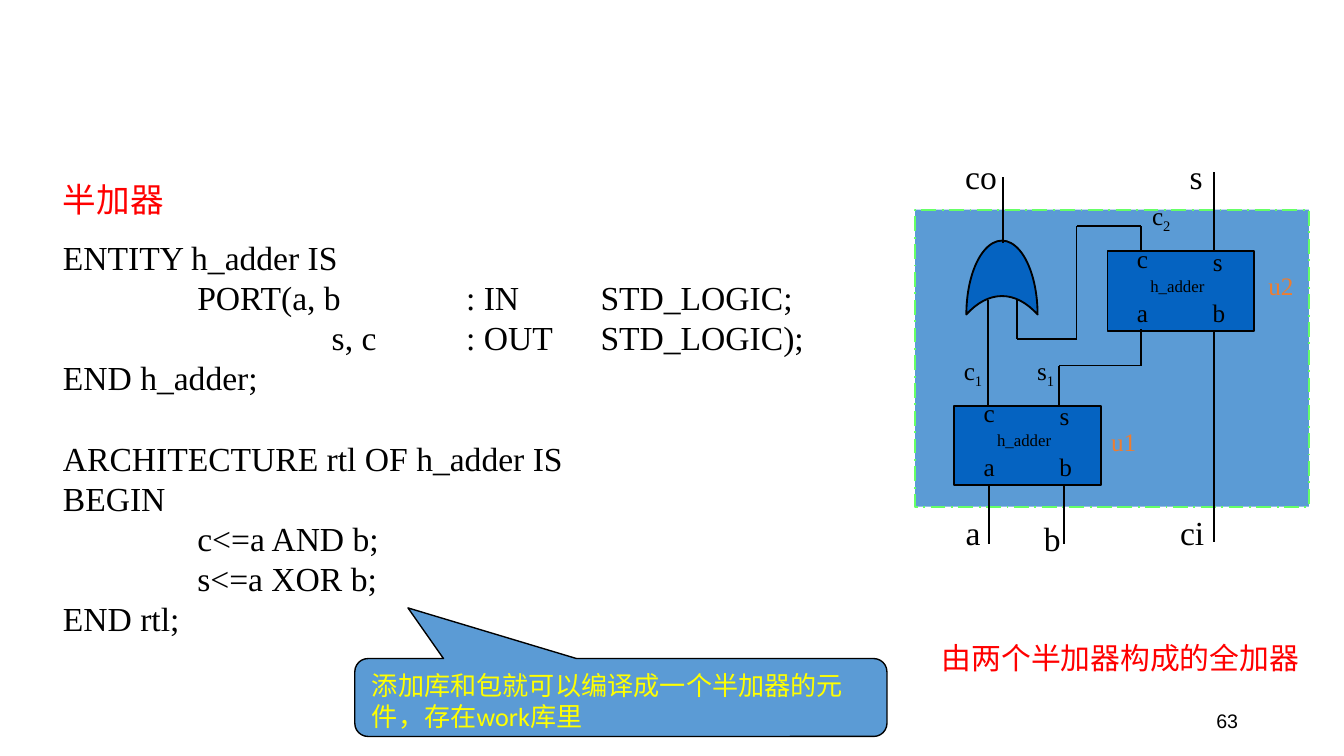
from lxml.etree import SubElement
from pptx import Presentation
from pptx.dml.color import RGBColor
from pptx.enum.dml import MSO_LINE
from pptx.enum.shapes import MSO_CONNECTOR, MSO_SHAPE as Shape
from pptx.enum.text import MSO_ANCHOR as Anchor, PP_ALIGN as Align
from pptx.oxml.ns import qn
from pptx.util import Pt

PX = 9144  # 100 px to the inch
SLIDE_WIDTH = 1000 * PX
SLIDE_HEIGHT = SLIDE_WIDTH * 9 // 16
BLACK = RGBColor(0x00, 0x00, 0x00)
RED = RGBColor(0xFF, 0x00, 0x00)
YELLOW = RGBColor(0xFF, 0xFF, 0x00)
ORANGE = RGBColor(0xED, 0x7D, 0x31)
LIGHT_BLUE = RGBColor(0x5B, 0x9B, 0xD5)
DEEP_BLUE = RGBColor(0x05, 0x63, 0xC1)
GREEN = RGBColor(0x66, 0xFF, 0x66)
SERIF, CJK = "Times New Roman", "Noto Sans CJK SC"

CODE = [
    "ENTITY h_adder IS",
    "\tPORT(a, b\t: IN\tSTD_LOGIC;",
    "\t\ts, c \t: OUT\tSTD_LOGIC);",
    "END h_adder;",
    "ARCHITECTURE rtl OF h_adder IS",
    "BEGIN",
    "\tc<=a AND b;",
    "\ts<=a XOR b;",
    "END rtl;",
]
LINE_PITCH = 21.55
SPACE_BEFORE = {CODE[0]: 9.5, CODE[4]: LINE_PITCH}

# Top left corners of each half adder and of its name
UNITS = {"u1": (710, 302, 810, 312), "u2": (824, 187, 927, 196)}
# Pins relative to the corner of their half adder
PINS = {"a": (4, 34), "b": (61, 34), "c": (4, -6), "s": (60, -4)}

WIRES = [
    [(736, 361), (736, 405)],
    [(792, 361), (792, 405)],
    [(735, 302), (735, 223)],
    [(788, 302), (788, 272), (849, 272), (849, 245)],
    [(903, 247), (903, 403)],
    [(903, 187), (903, 128)],
    [(849, 187), (849, 168), (801, 168), (801, 252), (757, 252), (757, 223)],
    [(746, 181), (746, 132)],
]
PORTS = [("a", 700, 381), ("ci", 863, 381), ("b", 759, 385),
         ("s", 866, 116), ("co", 706, 116)]
SIGNALS = [("c", "1", 700, 264), ("c", "2", 840, 149), ("s", "1", 754, 264)]


def scaled(*lengths):
    return [length * PX for length in lengths]


def set_values(target, values):
    for name, value in values.items():
        setattr(target, name, value)


def add_run(paragraph, text, size, font=SERIF, color=BLACK):
    run = paragraph.add_run()
    run.text = text
    run.font.color.rgb = color
    set_values(run.font, {"size": Pt(size), "name": font})
    properties = run.font._element
    SubElement(properties, qn("a:ea")).set("typeface", CJK)
    return properties


def add_text(shapes, box, text, size, font=SERIF, color=BLACK,
             align=Align.CENTER, insets=(0, 0), **frame_format):
    frame = shapes.add_textbox(*scaled(*box)).text_frame
    across, down = scaled(*insets)
    set_values(frame, {"margin_left": across, "margin_right": across,
                       "margin_top": down, "margin_bottom": down,
                       "word_wrap": True, **frame_format})
    paragraph = frame.paragraphs[0]
    paragraph.alignment = align
    add_run(paragraph, text, size, font, color)
    return frame


def add_box(shapes, kind, box, fill, line=BLACK, width=1.0, adjustments=()):
    shape = shapes.add_shape(kind, *scaled(*box))
    shape.shadow.inherit = False
    shape.fill.solid()
    shape.fill.fore_color.rgb = fill
    shape.line.color.rgb = line
    shape.line.width = Pt(width)
    for index, value in enumerate(adjustments):
        shape.adjustments[index] = value
    return shape


def add_wire(shapes, points):
    for start, end in zip(points, points[1:]):
        wire = shapes.add_connector(MSO_CONNECTOR.STRAIGHT, *scaled(*start, *end))
        wire.line.color.rgb = BLACK
        wire.line.width = Pt(1)
        SubElement(wire._element.spPr, qn("a:effectLst"))


def add_half_adder(shapes, name, left, top, name_left, name_top):
    add_box(shapes, Shape.RECTANGLE, (left, top, 109, 59), DEEP_BLUE)
    for pin, (x, y) in PINS.items():
        add_text(shapes, (left + x, top + y, 44, 29), pin, 13.5)
    add_text(shapes, (left + 5, top + 18, 94, 19), "h_adder", 9)
    add_text(shapes, (name_left, name_top, 52, 41), name, 13.5,
             color=ORANGE, insets=(10, 5))


def add_circuit(slide):
    shapes = slide.shapes.add_group_shape().shapes
    board = add_box(shapes, Shape.RECTANGLE, (681, 156, 293, 221), LIGHT_BLUE, GREEN)
    board.line.dash_style = MSO_LINE.LONG_DASH_DOT
    for name, corners in UNITS.items():
        add_half_adder(shapes, name, *corners)
    or_gate = add_box(shapes, Shape.MOON, (718, 180, 55, 53), DEEP_BLUE,
                      adjustments=[0.75])
    or_gate.rotation = 90
    for points in WIRES:
        add_wire(shapes, points)
    for text, left, top in PORTS:
        add_text(shapes, (left, top, 48, 38), text, 18)
    for text, index, left, top in SIGNALS:
        frame = add_text(shapes, (left, top, 48, 29), text, 13.5)
        add_run(frame.paragraphs[0], index, 13.5).set("baseline", "-25000")


def add_code(slide):
    frame = add_text(slide.shapes, (37, 128, 670, 356), "半加器", 18, CJK, RED,
                     Align.LEFT, (10, 5))
    frame.paragraphs[0].line_spacing = Pt(LINE_PITCH)
    for line in CODE:
        paragraph = frame.add_paragraph()
        tabs = SubElement(paragraph._p.get_or_add_pPr(), qn("a:tabLst"))
        for inch in range(1, 5):
            tab = SubElement(tabs, qn("a:tab"))
            tab.set("pos", str(inch * 100 * PX))
            tab.set("algn", "l")
        set_values(paragraph, {"line_spacing": Pt(LINE_PITCH),
                               "space_before": Pt(SPACE_BEFORE.get(line, 0))})
        add_run(paragraph, line, 18)


def add_callout(slide):
    callout = add_box(slide.shapes, Shape.ROUNDED_RECTANGULAR_CALLOUT,
                      (264, 490, 396, 58), LIGHT_BLUE, width=0.75,
                      adjustments=[-0.4, -1.15, 0.17])
    frame = callout.text_frame
    set_values(frame, {"word_wrap": True, "vertical_anchor": Anchor.TOP,
                       "margin_right": 18 * PX})
    frame.paragraphs[0].alignment = Align.LEFT
    add_run(frame.paragraphs[0], "添加库和包就可以编译成一个半加器的元件，存在work库里",
            14, "Calibri", YELLOW)


def main():
    presentation = Presentation()
    set_values(presentation, {"slide_width": SLIDE_WIDTH,
                              "slide_height": SLIDE_HEIGHT})
    slide = presentation.slides.add_slide(presentation.slide_layouts[6])

    # Slide number
    add_text(slide.shapes, (706, 521, 225, 30), "63", 10.5, "Arial",
             align=Align.RIGHT, insets=(10, 5), vertical_anchor=Anchor.MIDDLE)
    # Half adder source and full adder diagram
    add_code(slide)
    add_circuit(slide)
    # Diagram caption and note on the code
    add_text(slide.shapes, (691, 471, 289, 37), "由两个半加器构成的全加器", 16, CJK,
             RED, Align.LEFT, (10, 5), word_wrap=False)
    add_callout(slide)
    presentation.save("out.pptx")


if __name__ == "__main__":
    main()
